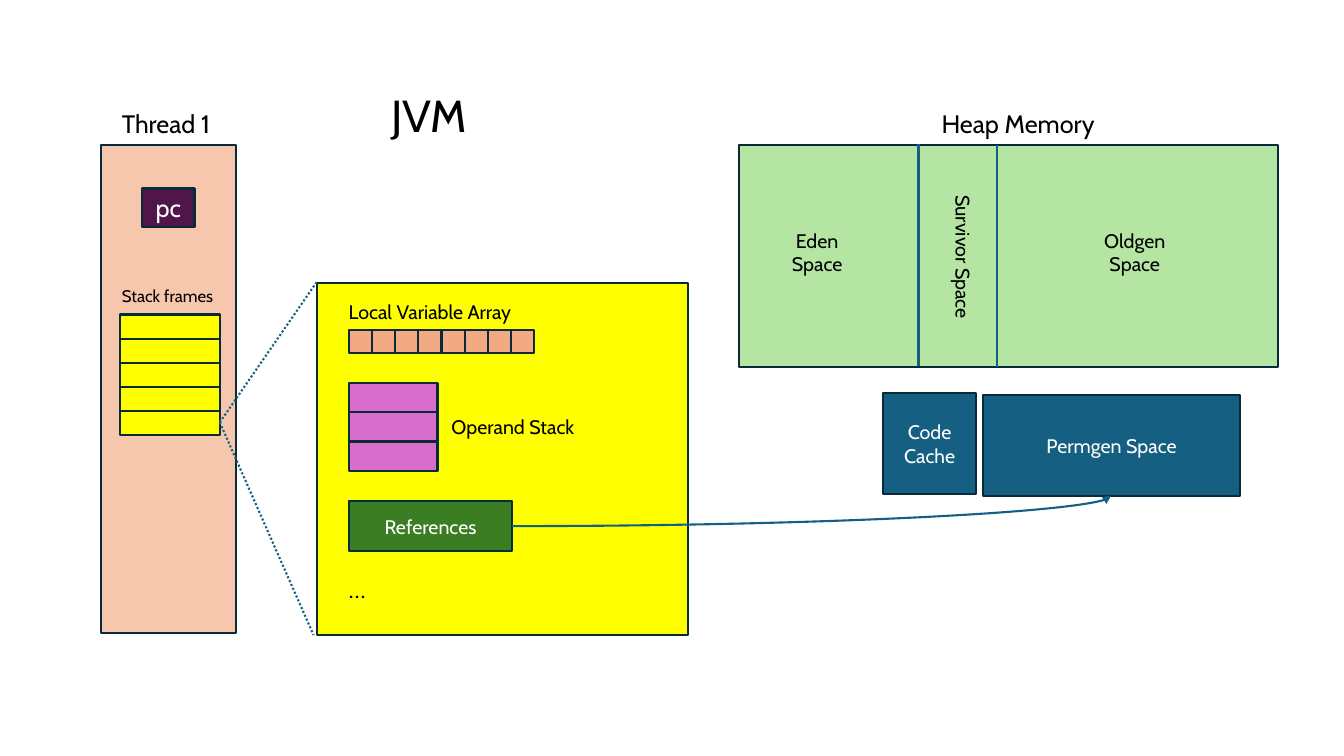
"""Build a slide that maps the memory areas of the JVM."""
from lxml import etree
from pptx import Presentation
from pptx.dml.color import RGBColor
from pptx.enum import dml, shapes, text
from pptx.oxml.ns import qn
from pptx.util import Inches, Pt

BLACK = RGBColor(0x00, 0x00, 0x00)
WHITE = RGBColor(0xFF, 0xFF, 0xFF)
NAVY = RGBColor(0x09, 0x2A, 0x39)
BLUE = RGBColor(0x15, 0x60, 0x82)
PEACH = RGBColor(0xF6, 0xC6, 0xAD)
ORANGE = RGBColor(0xF2, 0xAA, 0x84)
LIGHT_GREEN = RGBColor(0xB4, 0xE5, 0xA2)
GREEN = RGBColor(0x3B, 0x7D, 0x23)
YELLOW = RGBColor(0xFF, 0xFF, 0x00)
PINK = RGBColor(0xD8, 0x6E, 0xCC)
PURPLE = RGBColor(0x50, 0x16, 0x49)
LEFT, CENTER = text.PP_ALIGN.LEFT, text.PP_ALIGN.CENTER
TOP, MIDDLE = text.MSO_ANCHOR.TOP, text.MSO_ANCHOR.MIDDLE


def write(sp, words, size, color, align, anchor, wrap):
    tf = sp.text_frame
    tf.text = words
    frame = {"word_wrap": wrap, "vertical_anchor": anchor,
             "auto_size": text.MSO_AUTO_SIZE.NONE}
    for name, value in frame.items():
        setattr(tf, name, value)
    for p in tf.paragraphs:
        p.alignment = align
        for r in p.runs:
            for name, value in {"name": "Cabin", "size": Pt(size)}.items():
                setattr(r.font, name, value)
            r.font.color.rgb = color


def box(parent, at, fill, words="", size=14):
    sp = parent.add_shape(shapes.MSO_SHAPE.RECTANGLE, *map(Inches, at))
    sp.shadow.inherit = False
    sp.fill.solid()
    sp.fill.fore_color.rgb = fill
    sp.line.color.rgb = NAVY
    sp.line.width = Pt(1.5)
    if words:
        write(sp, words, size, WHITE, CENTER, MIDDLE, True)


prs = Presentation()
prs.slide_width, prs.slide_height = Inches(13.33), Inches(7.5)
s = prs.slides.add_slide(prs.slide_layouts[5])

title = s.shapes.title
for name, value in {"left": 3.78, "top": 0.82, "width": 0.97, "height": 0.64}.items():
    setattr(title, name, Inches(value))
write(title, "JVM", 32, BLACK, LEFT, TOP, False)

for at, fill, words, size in [
    ((1, 1.44, 1.34, 4.84), PEACH, "", 14),
    ((7.33, 1.44, 5.35, 2.2), LIGHT_GREEN, "", 14),
    ((9.75, 3.92, 2.55, 1), BLUE, "Permgen Space", 14),
    ((8.76, 3.9, 0.92, 1), BLUE, "Code Cache", 14),
    ((3.14, 2.81, 3.68, 3.49), YELLOW, "", 14),
    ((3.46, 4.97, 1.62, 0.5), GREEN, "References", 14),
    ((1.41, 1.87, 0.52, 0.38), PURPLE, "pc", 18),
]:
    box(s.shapes, at, fill, words, size)

variables = s.shapes.add_group_shape().shapes
operands = s.shapes.add_group_shape().shapes
for parent, count, (x, y, w, h), dx, dy, fill in [
    (s.shapes, 5, (1.19, 3.12, 0.99, 0.24), 0, 0.24, YELLOW),
    (variables, 8, (3.46, 3.27, 0.23, 0.23), 0.23, 0, ORANGE),
    (operands, 3, (3.46, 3.8, 0.88, 0.29), 0, 0.29, PINK),
]:
    for i in range(count):
        box(parent, (x + i * dx, y + i * dy, w, h), fill)

for parent, at, words, size, align, turn in [
    (s.shapes, (1.11, 1.03, 1.14, 0.4), "Thread 1", 18, LEFT, 0),
    (s.shapes, (9.24, 1.03, 1.73, 0.4), "Heap Memory", 18, LEFT, 0),
    (s.shapes, (7.74, 2.22, 0.73, 0.57), "Eden\nSpace", 14, CENTER, 0),
    (s.shapes, (10.85, 2.22, 0.81, 0.57), "Oldgen\nSpace", 14, CENTER, 0),
    (s.shapes, (8.82, 2.4, 1.46, 0.34), "Survivor Space", 14, LEFT, 90),
    (s.shapes, (1.11, 2.79, 1.15, 0.3), "Stack frames", 12, LEFT, 0),
    (variables, (3.36, 2.93, 1.88, 0.34), "Local Variable Array", 14, LEFT, 0),
    (operands, (4.38, 4.07, 1.46, 0.34), "Operand Stack", 14, LEFT, 0),
    (s.shapes, (3.36, 5.64, 0.42, 0.4), "…", 18, LEFT, 0),
]:
    sp = parent.add_textbox(*map(Inches, at))
    sp.rotation = turn
    write(sp, words, size, BLACK, align, TOP, False)

STRAIGHT, CURVE = shapes.MSO_CONNECTOR.STRAIGHT, shapes.MSO_CONNECTOR.CURVE
for kind, ends, dash in [
    (STRAIGHT, (9.11, 1.43, 9.11, 3.63), None),
    (STRAIGHT, (9.89, 1.44, 9.89, 3.64), None),
    (STRAIGHT, (2.18, 4.19, 3.14, 2.8), dml.MSO_LINE.ROUND_DOT),
    (STRAIGHT, (2.18, 4.19, 3.11, 6.3), dml.MSO_LINE.ROUND_DOT),
    (CURVE, (5.08, 5.22, 11.02, 4.92), None),
]:
    link = s.shapes.add_connector(kind, *map(Inches, ends))
    link.line.color.rgb = BLUE
    link.line.width = Pt(1.5)
    link.line.dash_style = dash
    props = link._element.spPr
    etree.SubElement(props, qn("a:effectLst"))
    if kind == CURVE:
        props.find(qn("a:prstGeom")).set("prst", "curvedConnector2")
        etree.SubElement(props.find(qn("a:ln")), qn("a:tailEnd"), type="triangle")

prs.save("out.pptx")
